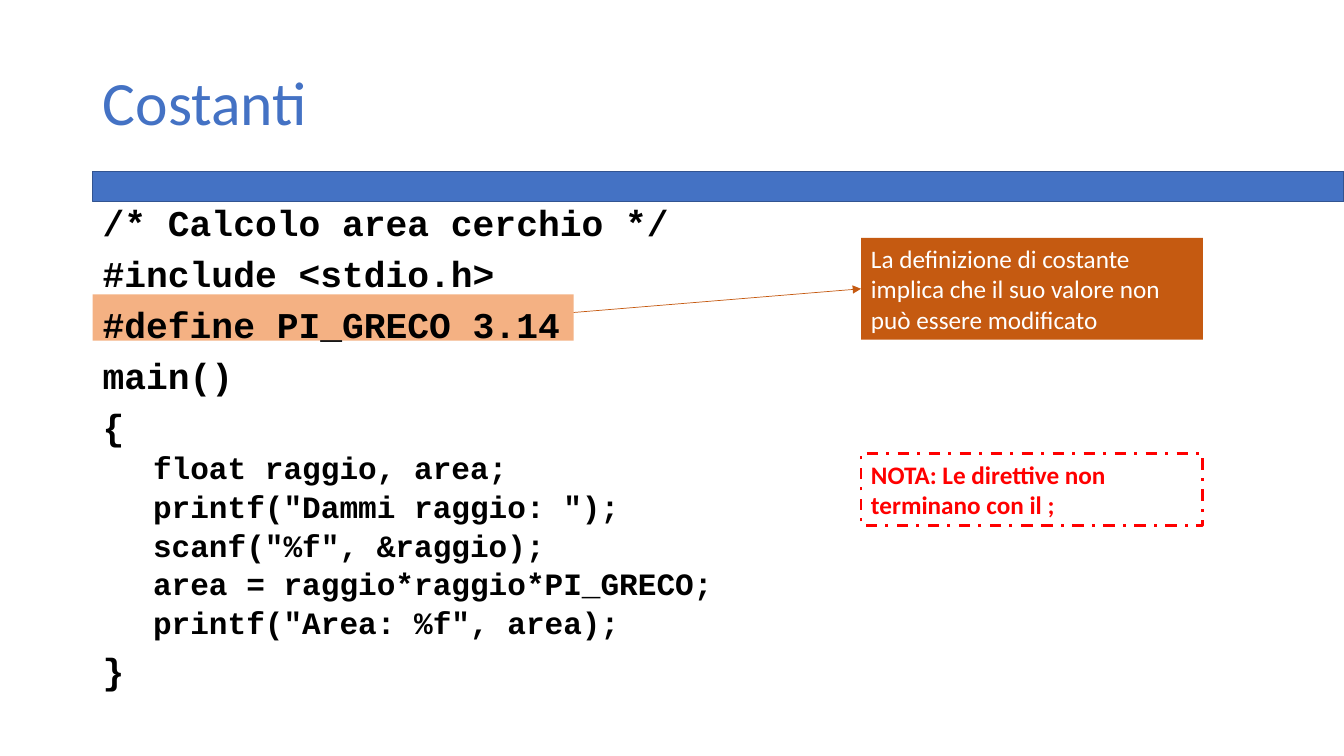
import pptx
import pptx.util
import pptx.dml.color
import pptx.enum.dml
import pptx.enum.shapes
import pptx.enum.text
from dataclasses import dataclass
from lxml import etree

# Content
TITLE = "Costanti"
CODE = [  # (indent level, line)
    (0, "/* Calcolo area cerchio */"),
    (0, "#include <stdio.h>"),
    (0, "#define PI_GRECO 3.14"),
    (0, "main()"),
    (0, "{"),
    (1, "float raggio, area;"),
    (1, 'printf("Dammi raggio: ");'),
    (1, 'scanf("%f", &raggio);'),
    (1, "area = raggio*raggio*PI_GRECO;"),
    (1, 'printf("Area: %f", area);'),
    (0, "}"),
]
DEFINITION = ["La definizione di costante",
              "implica che il suo valore non può essere modificato"]
NOTE = ["NOTA: Le direttive non", "terminano con il ;"]


@dataclass(frozen=True)
class Theme:
    accent: str = "4472C4"
    accent_edge: str = "325491"
    highlight: str = "F4B183"
    callout: str = "C55A11"
    warning: str = "FF0000"
    ink: str = "000000"
    paper: str = "FFFFFF"
    text_font: str = "Calibri"
    code_font: str = "Courier New"
    title_size: float = 44
    note_size: float = 18
    code_sizes: tuple = (25.9, 22.2)
    code_gaps: tuple = (10, 5)


THEME = Theme()

# Layout: left, top, width, height in inches
WIDTH, HEIGHT = 13.33, 7.5
LEFT, BAR_TOP, BAR_HEIGHT = 0.92, 1.7, 0.3
NOTE_LEFT, NOTE_WIDTH = 8.54, 3.39
TITLE_AREA = (LEFT, 0.4, 11.5, 1.3)
BAR_AREA = (LEFT, BAR_TOP, WIDTH - LEFT, BAR_HEIGHT)
HIGHLIGHT_AREA = (LEFT, 2.92, 4.77, 0.46)
CODE_AREA = (LEFT, BAR_TOP + BAR_HEIGHT, 7.04, 4.76)
DEFINITION_AREA = (NOTE_LEFT, 2.36, NOTE_WIDTH, 1.01)
NOTE_AREA = (NOTE_LEFT, 4.5, NOTE_WIDTH, 0.71)
CODE_INDENT = 0.5
CODE_SPACING = 0.85


def inches(values):
    return [pptx.util.Inches(value) for value in values]


def color(code):
    return pptx.dml.color.RGBColor.from_string(code)


def style(para, font, size, ink, bold=False):
    para.alignment = pptx.enum.text.PP_ALIGN.LEFT
    para.font.name = font
    para.font.size = pptx.util.Pt(size)
    para.font.bold = bold
    para.font.color.rgb = color(ink)


def paragraphs(frame, lines):
    for index, line in enumerate(lines):
        para = frame.add_paragraph() if index else frame.paragraphs[0]
        para.text = line
        yield para


def add_box(page, area, fill=None, edge=None, weight=1, dash=None):
    box = page.shapes.add_shape(
        pptx.enum.shapes.MSO_SHAPE.RECTANGLE, *inches(area))
    box.shadow.inherit = False
    if fill:
        box.fill.solid()
        box.fill.fore_color.rgb = color(fill)
    else:
        box.fill.background()
    if edge:
        box.line.color.rgb = color(edge)
        box.line.width = pptx.util.Pt(weight)
        if dash:
            box.line.dash_style = dash
    else:
        box.line.fill.background()
    return box


def write_note(box, lines, ink, bold=False):
    box.text_frame.word_wrap = True
    for para in paragraphs(box.text_frame, lines):
        style(para, THEME.text_font, THEME.note_size, ink, bold)


def add_title(page):
    title = page.shapes.title
    title.left, title.top, title.width, title.height = inches(TITLE_AREA)
    title.text_frame.vertical_anchor = pptx.enum.text.MSO_ANCHOR.MIDDLE
    title.text_frame.word_wrap = True
    title.text_frame.text = TITLE
    para = title.text_frame.paragraphs[0]
    para.line_spacing = 0.9
    style(para, THEME.text_font, THEME.title_size, THEME.accent)


def add_code(page):
    frame = page.shapes.add_textbox(*inches(CODE_AREA)).text_frame
    frame.word_wrap = True
    lines = [line for _, line in CODE]
    for index, para in enumerate(paragraphs(frame, lines)):
        level = CODE[index][0]
        para.line_spacing = CODE_SPACING
        if index:
            para.space_before = pptx.util.Pt(THEME.code_gaps[level])
        if level:
            para.level = level
            para._p.get_or_add_pPr().set(
                "marL", str(pptx.util.Inches(CODE_INDENT * level)))
        style(para, THEME.code_font, THEME.code_sizes[level], THEME.ink, True)


def add_arrow(page, start, end):
    arrow = page.shapes.add_connector(
        pptx.enum.shapes.MSO_CONNECTOR.STRAIGHT, *inches(start + end))
    arrow.line.color.rgb = color(THEME.callout)
    arrow.line.width = pptx.util.Pt(0.5)
    namespace = pptx.oxml.ns.qn
    etree.SubElement(arrow.line._get_or_add_ln(),
                     namespace("a:tailEnd"), type="triangle")
    etree.SubElement(arrow._element.spPr, namespace("a:effectLst"))


def main():
    deck = pptx.Presentation()
    deck.slide_width, deck.slide_height = inches((WIDTH, HEIGHT))
    page = deck.slides.add_slide(deck.slide_layouts.get_by_name("Title Only"))

    # Title, rule and code
    add_box(page, BAR_AREA, THEME.accent, THEME.accent_edge)
    add_box(page, HIGHLIGHT_AREA, THEME.highlight)
    add_title(page)
    add_code(page)

    # Notes beside the code
    definition = add_box(page, DEFINITION_AREA, THEME.callout)
    write_note(definition, DEFINITION, THEME.paper)
    note = add_box(page, NOTE_AREA, edge=THEME.warning, weight=2,
                   dash=pptx.enum.dml.MSO_LINE.DASH_DOT)
    write_note(note, NOTE, THEME.warning, True)

    # Arrow from the highlighted line to its explanation
    left, _, width, _ = HIGHLIGHT_AREA
    _, top, _, height = DEFINITION_AREA
    add_arrow(page, (left + width, 3.1), (NOTE_LEFT, top + height / 2))

    deck.save("out.pptx")


if __name__ == "__main__":
    main()
